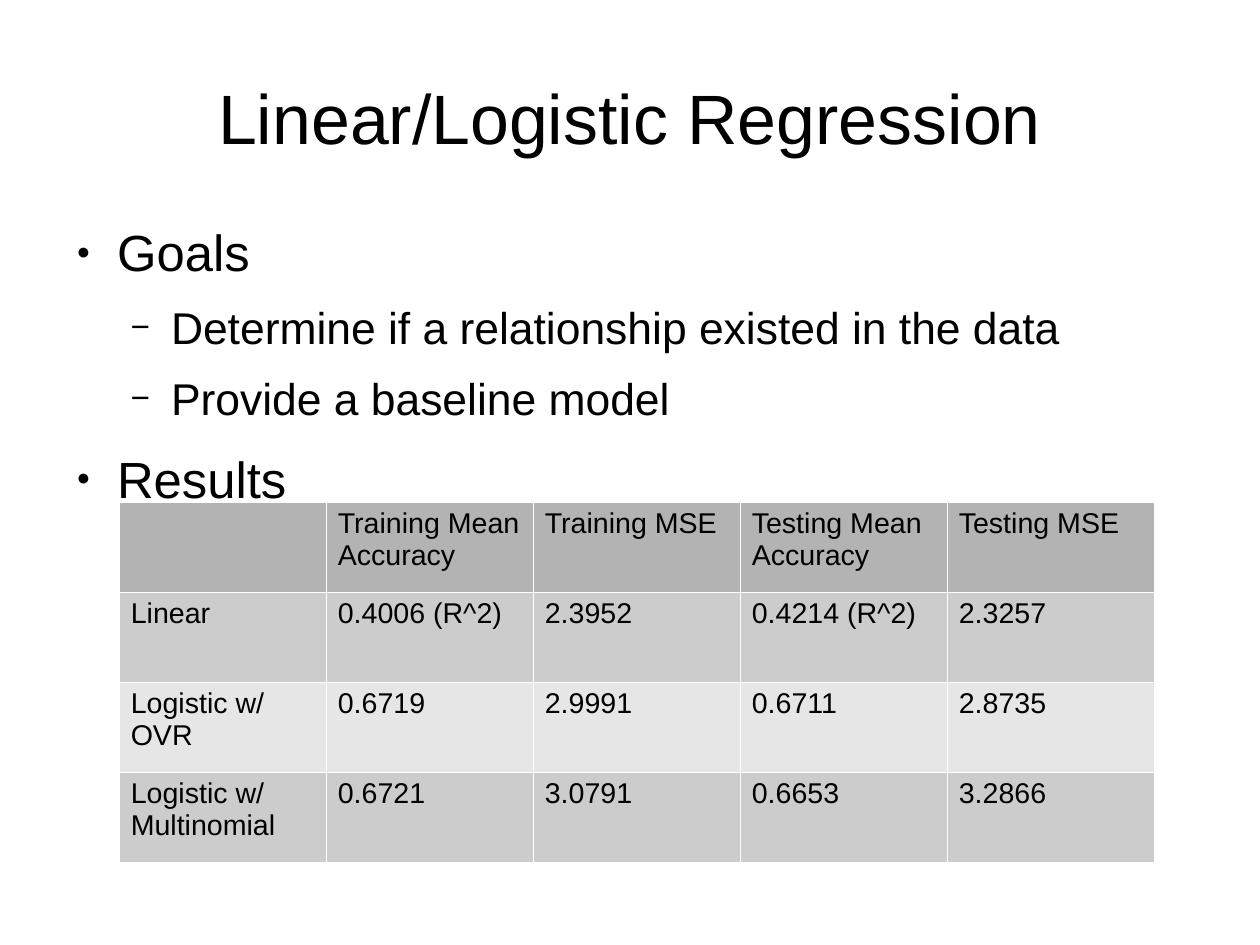
from lxml.etree import SubElement
from pptx import Presentation
from pptx.dml.color import RGBColor as Rgb
from pptx.enum.text import MSO_ANCHOR as Anchor, MSO_AUTO_SIZE as AutoSize, PP_ALIGN as Align
from pptx.oxml.ns import qn
from pptx.util import Pt

COLORS = {
    "text": "000000",
    "border": "FFFFFF",
    "header": "B3B3B3",
    "odd_row": "CCCCCC",
    "even_row": "E6E6E6",
}

# Per list level: text size, left margin, space before, bullet, bullet size in percent
LEVELS = [(32, 34, 14.2, "●", 45), (28, 68, 11.3, "−", 75)]
HANGING = 25.5

GOALS_AND_RESULTS = [
    (0, "Goals"),
    (1, "Determine if a relationship existed in the data"),
    (1, "Provide a baseline model"),
    (0, "Results"),
]

SCORES = [
    ["", "Training Mean Accuracy", "Training MSE", "Testing Mean Accuracy", "Testing MSE"],
    ["Linear", "0.4006 (R^2)", "2.3952", "0.4214 (R^2)", "2.3257"],
    ["Logistic w/ OVR", "0.6719", "2.9991", "0.6711", "2.8735"],
    ["Logistic w/ Multinomial", "0.6721", "3.0791", "0.6653", "3.2866"],
]


class SlideBuilder:
    """Holds the text style and the current slide."""

    def __init__(self, slide, font="Arial"):
        self.slide = slide
        self.font = font

    def add_run(self, paragraph, text, size):
        run = paragraph.add_run()
        run.text = text
        run.font.name = self.font
        run.font.size = Pt(size)
        run.font.color.rgb = Rgb.from_string(COLORS["text"])

    def place(self, holder, box, anchor):
        holder.left, holder.top, holder.width, holder.height = map(Pt, box)
        frame = holder.text_frame
        frame.margin_left = frame.margin_right = frame.margin_top = frame.margin_bottom = 0
        frame.word_wrap = True
        frame.auto_size = AutoSize.NONE
        frame.vertical_anchor = anchor
        return frame

    def title(self, text, box, size):
        heading = self.place(self.slide.shapes.title, box, Anchor.MIDDLE).paragraphs[0]
        heading.alignment = Align.CENTER
        self.add_run(heading, text, size)

    def bullets(self, items, box):
        frame = self.place(self.slide.placeholders[1], box, Anchor.TOP)
        for index, (level, text) in enumerate(items):
            item = frame.add_paragraph() if index else frame.paragraphs[0]
            size, margin, before, bullet, percent = LEVELS[level]
            item.level = level
            item.space_before = Pt(before)
            self.add_run(item, text, size)
            # Bullet colour, size and character
            props = item._p.get_or_add_pPr()
            props.set("marL", str(Pt(margin)))
            props.set("indent", str(-Pt(HANGING)))
            color = SubElement(props, qn("a:buClr"))
            SubElement(color, qn("a:srgbClr"), val=COLORS["text"])
            SubElement(props, qn("a:buSzPct"), val=str(percent * 1000))
            SubElement(props, qn("a:buFont"), typeface=self.font)
            SubElement(props, qn("a:buChar"), char=bullet)

    def borders(self, cell, width):
        props = cell._tc.get_or_add_tcPr()
        for position, side in enumerate(("lnL", "lnR", "lnT", "lnB")):
            line = SubElement(props, qn(f"a:{side}"), w=str(Pt(width)))
            fill = SubElement(line, qn("a:solidFill"))
            SubElement(fill, qn("a:srgbClr"), val=COLORS["border"])
            props.insert(position, line)

    def table(self, rows, box, size):
        left, top, width, height = map(Pt, box)
        grid = self.slide.shapes.add_table(len(rows), len(rows[0]), left, top, width, height).table
        for r, row in enumerate(rows):
            shade = "header" if r == 0 else "odd_row" if r % 2 else "even_row"
            for c, text in enumerate(row):
                cell = grid.cell(r, c)
                cell.fill.solid()
                cell.fill.fore_color.rgb = Rgb.from_string(COLORS[shade])
                cell.margin_left = cell.margin_right = Pt(7.2)
                cell.margin_top = cell.margin_bottom = Pt(3.6)
                self.borders(cell, 0.06)
                if text:
                    self.add_run(cell.text_frame.paragraphs[0], text, size)


def main():
    deck = Presentation()
    deck.slide_width, deck.slide_height = Pt(793.7), Pt(595.3)
    builder = SlideBuilder(deck.slides.add_slide(deck.slide_layouts[1]))

    # Title and list
    builder.title("Linear/Logistic Regression", (39.7, 23.7, 714.3, 99.4), 44)
    builder.bullets(GOALS_AND_RESULTS, (39.7, 139.3, 714.3, 345))

    # Model scores
    builder.table(SCORES, (75.2, 316.4, 652, 226.8), 18)

    deck.save("out.pptx")


if __name__ == "__main__":
    main()
